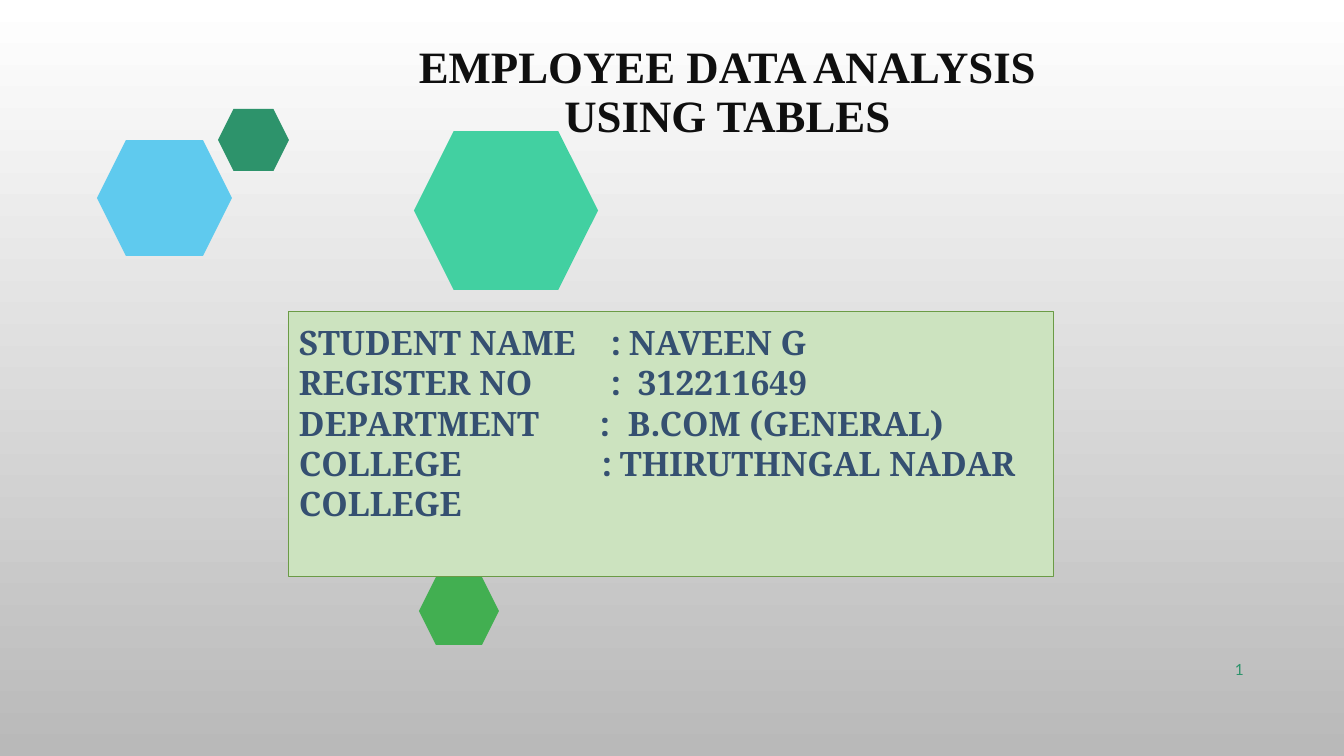
import pptx
import pptx.dml.color
import pptx.enum.shapes
import pptx.enum.text
import pptx.oxml
import pptx.oxml.ns
import pptx.util

RGB = pptx.dml.color.RGBColor
ANCHOR = pptx.enum.text.MSO_ANCHOR
ALIGN = pptx.enum.text.PP_ALIGN
SHAPE = pptx.enum.shapes.MSO_SHAPE

WHITE = RGB(0xFF, 0xFF, 0xFF)
GRAY = RGB(0xB9, 0xB9, 0xB9)
BLUE = RGB(0x5F, 0xCA, 0xEE)
TEAL = RGB(0x2D, 0x93, 0x6B)
MINT = RGB(0x42, 0xD0, 0xA1)
GREEN = RGB(0x42, 0xAF, 0x51)
PALE_GREEN = RGB(0xCC, 0xE3, 0xBF)
OLIVE = RGB(0x6B, 0x9B, 0x46)
NAVY = RGB(0x35, 0x50, 0x71)
BLACK = RGB(0x0F, 0x0F, 0x0F)

HEXAGONS = [
    ((97, 140, 135, 116), BLUE),
    ((218, 109, 71, 62), TEAL),
    ((414, 131, 184, 159), MINT),
    ((419, 577, 80, 68), GREEN),
]
# label, value, tab stop of the colon, tab stop of the value
DETAILS = [
    ("STUDENT NAME", "NAVEEN G", 312, 330),
    ("REGISTER NO", "312211649", 312, 339),
    ("DEPARTMENT", "B.COM (GENERAL)", 301, 329),
    ("COLLEGE", "THIRUTHNGAL NADAR COLLEGE", 303, 321),
]


def px(n):
    return pptx.util.Emu(round(n * 914400 / 100.8))


def format_run(r, font, size, color, bold=False):
    r.font.name = font
    r.font.size = pptx.util.Pt(size)
    r.font.bold = bold
    r.font.color.rgb = color


def set_frame(tf, anchor, left, top, right, bottom):
    tf.word_wrap = True
    tf.auto_size = pptx.enum.text.MSO_AUTO_SIZE.NONE
    tf.vertical_anchor = anchor
    tf.margin_left, tf.margin_top = px(left), px(top)
    tf.margin_right, tf.margin_bottom = px(right), px(bottom)


def set_background(slide):
    fill = slide.background.fill
    fill.gradient()
    fill.gradient_angle = 270
    for stop, position, color in zip(fill.gradient_stops, (0, 1), (WHITE, GRAY)):
        stop.position = position
        stop.color.rgb = color


def add_filled(slide, kind, box, color):
    sp = slide.shapes.add_shape(kind, *map(px, box))
    sp.shadow.inherit = False
    sp.fill.solid()
    sp.fill.fore_color.rgb = color
    sp.line.fill.background()
    return sp


def set_title(slide, text):
    title = slide.shapes.title
    title.left, title.top, title.width, title.height = map(px, (0, 45, 1101, 148))
    tf = title.text_frame
    set_frame(tf, ANCHOR.TOP, 354, 0, 0, 0)
    tf.text = text
    p = tf.paragraphs[0]
    p.alignment = ALIGN.CENTER
    p.line_spacing = 0.9
    format_run(p.runs[0], "Times New Roman", 32, BLACK, True)


def add_slide_number(slide):
    box = slide.shapes.add_textbox(*map(px, (1159, 649, 85, 40)))
    tf = box.text_frame
    set_frame(tf, ANCHOR.MIDDLE, 0, 1, 0, 0)
    tf.text = "1"
    p = tf.paragraphs[0]
    p.alignment = ALIGN.RIGHT
    r = p.runs[0]
    format_run(r, "Lato", 11, TEAL)
    field = pptx.oxml.parse_xml(
        f'<a:fld {pptx.oxml.ns.nsdecls("a")} type="slidenum"'
        ' id="{B6F15528-21DE-4FAA-801E-634DDDAF4B2B}"/>'
    )
    r._r.addprevious(field)
    field.extend(list(r._r))
    p._p.remove(r._r)


def add_tab_stops(p, stops):
    tabs = "".join(f'<a:tab pos="{px(stop)}" algn="l"/>' for stop in stops)
    p._p.get_or_add_pPr().append(pptx.oxml.parse_xml(
        f'<a:tabLst {pptx.oxml.ns.nsdecls("a")}>{tabs}</a:tabLst>'
    ))


def add_details(slide):
    sp = add_filled(slide, SHAPE.RECTANGLE, (289, 312, 765, 265), PALE_GREEN)
    sp.line.color.rgb = OLIVE
    sp.line.width = pptx.util.Pt(0.75)
    tf = sp.text_frame
    set_frame(tf, ANCHOR.TOP, 10, 10, 10, 10)
    tf.text = "\n".join(f"{label}\t:\t{value}" for label, value, *_ in DETAILS)
    for p, (_, _, *stops) in zip(tf.paragraphs, DETAILS):
        p.alignment = ALIGN.LEFT
        add_tab_stops(p, stops)
        format_run(p.runs[0], "Noto Serif", 24, NAVY, True)


def main():
    prs = pptx.Presentation()
    prs.slide_width, prs.slide_height = px(1344), px(756)
    slide = prs.slides.add_slide(prs.slide_layouts.get_by_name("Title Only"))
    set_background(slide)
    for box, color in HEXAGONS:
        add_filled(slide, SHAPE.HEXAGON, box, color)
    set_title(slide, "EMPLOYEE DATA ANALYSIS USING TABLES")
    add_slide_number(slide)
    add_details(slide)
    prs.save("out.pptx")


if __name__ == "__main__":
    main()
